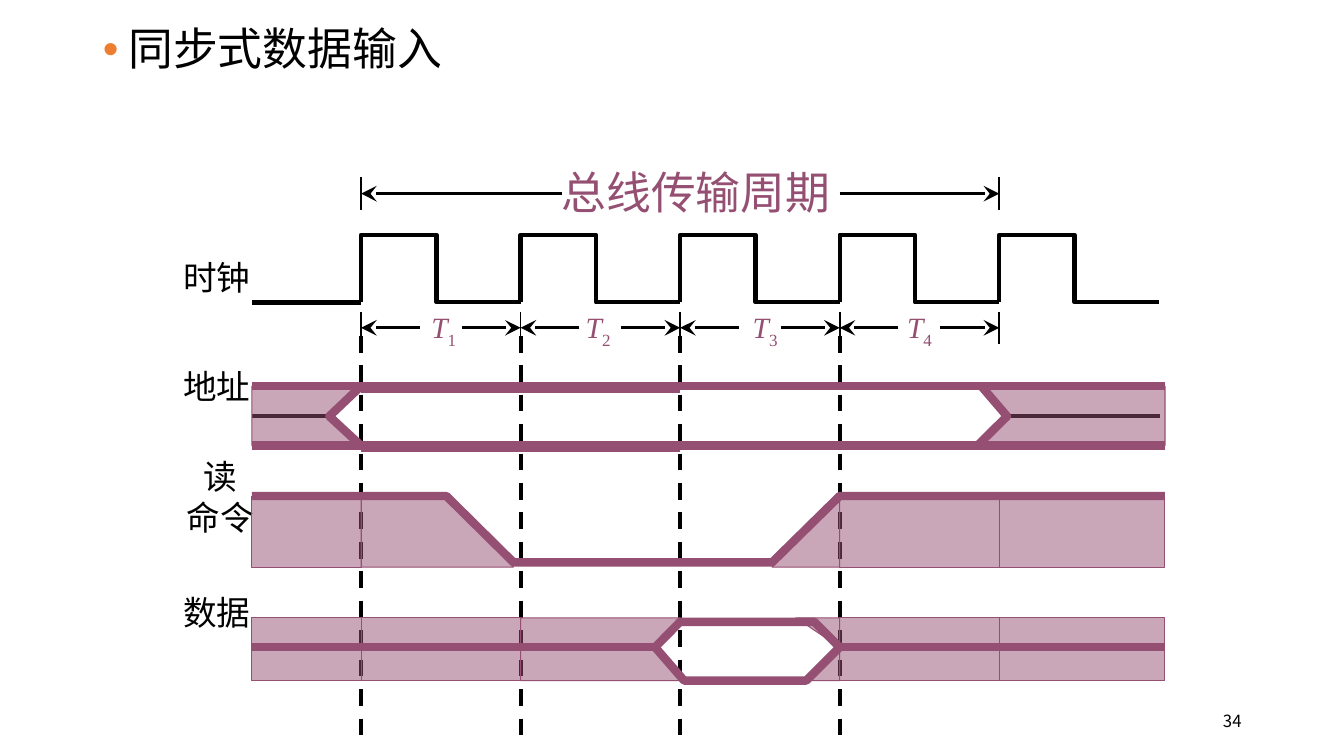
"""Build the timing diagram slide for synchronous data input."""
from lxml import etree
from pptx import Presentation
from pptx.dml.color import RGBColor
from pptx.enum import dml, shapes, text
from pptx.oxml import ns
from pptx.util import Cm, Pt

HUE = {"ink": "000000", "plum": "954F72", "dot": "ED7D31"}
SANS, SERIF = "Noto Sans CJK SC", "Times New Roman"
THIN, ARROW, BOLD, THICK = 1.25, 2.25, 3, 6

LEFT, RIGHT, STEP = 6.35, 29.36, 4.02
TICKS = [round(9.1 + STEP * n, 2) for n in range(5)]
T1, T2, T3, T4, END = TICKS
SPAN_Y, CYCLE_Y = 4.88, 8.26
CLOCK_HI, CLOCK_LO = 5.92, 7.62
ADDR_HI, ADDR_MID, ADDR_LO = 9.73, 10.49, 11.23
READ_HI, READ_LO, READ_BASE = 12.5, 14.17, 14.29
DATA_TOP, DATA_HI, DATA_MID, DATA_LO = 15.57, 15.67, 16.31, 17.15

deck = Presentation()
deck.slide_width, deck.slide_height = Cm(33.87), Cm(19.05)
slide = deck.slides.add_slide(deck.slide_layouts[1])
items = slide.shapes


def wire(x1, y1, x2, y2, hue="ink", size=BOLD, tip=False, dash=False):
    """Draw a straight line, with a tip at its end if asked."""
    link = items.add_connector(shapes.MSO_CONNECTOR.STRAIGHT, Cm(x1), Cm(y1), Cm(x2), Cm(y2))
    link.line.color.rgb = RGBColor.from_string(HUE[hue])
    link.line.width = Pt(size)
    if dash:
        link.line.dash_style = dml.MSO_LINE.DASH
    props = link.element.spPr
    if tip:
        stroke = props.find(ns.qn("a:ln"))
        etree.SubElement(stroke, ns.qn("a:tailEnd"), type="stealth", w="lg", len="lg")
    etree.SubElement(props, ns.qn("a:effectLst"))


def trace(spots, hue="plum", size=THICK, shut=False):
    """Draw an unfilled outline through the spots and return it."""
    first, *rest = [(Cm(x), Cm(y)) for x, y in spots]
    pen = items.build_freeform(*first)
    pen.add_line_segments(rest, close=shut)
    form = pen.convert_to_shape()
    form.shadow.inherit = False
    form.fill.background()
    form.line.color.rgb = RGBColor.from_string(HUE[hue])
    form.line.width = Pt(size)
    return form


title, body = slide.placeholders
title.element.getparent().remove(title.element)
body.left, body.top, body.width, body.height = Cm(2.34), Cm(0.56), Cm(29.21), Cm(16.86)
head = body.text_frame.paragraphs[0]
props = head._p.get_or_add_pPr()
props.set("marL", str(Cm(0.64)))
props.set("indent", str(Cm(-0.64)))
tint = etree.SubElement(props, ns.qn("a:buClr"))
etree.SubElement(tint, ns.qn("a:srgbClr"), val=HUE["dot"])
etree.SubElement(props, ns.qn("a:buFont"), typeface="Arial")
etree.SubElement(props, ns.qn("a:buChar"), char="•")
head.line_spacing, head.space_before = 0.9, Pt(0)

MID, START, STOP = text.PP_ALIGN.CENTER, text.PP_ALIGN.LEFT, text.PP_ALIGN.RIGHT
name = (24, SERIF, "ink")
notes = [
    (4.16, 6.48, 2.6, MID, ["时钟"], name),
    (4.16, 9.22, 2.6, MID, ["地址"], name),
    (4.25, 11.5, 2.6, MID, ["读", "命令"], name),
    (4.16, 14.91, 2.6, MID, ["数据"], name),
    (14.15, 4.15, 6.9, START, ["总线传输周期"], (32, SANS, "plum")),
    (23.93, 17.91, 7.36, STOP, ["34"], (12, SANS, "ink")),
]
for n, x in enumerate((10.87, 14.76, 18.97, 22.86), 1):
    notes.append((x, 7.8, 0.9, START, [("T", str(n))], (21, SERIF, "plum")))

lines = [(head, ["同步式数据输入"], (32, SANS, "ink"))]
for x, y, wide, align, rows, look in notes:
    high = len(rows) * look[0] * 0.05
    frame = items.add_textbox(Cm(x), Cm(y), Cm(wide), Cm(high)).text_frame
    frame.word_wrap = True
    frame.margin_left = frame.margin_right = frame.margin_top = frame.margin_bottom = 0
    for n, row in enumerate(rows):
        para = frame.add_paragraph() if n else frame.paragraphs[0]
        para.alignment = align
        lines.append((para, [row] if isinstance(row, str) else row, look))

for para, parts, (size, face, hue) in lines:
    for n, part in enumerate(parts):
        run = para.add_run()
        run.text = part
        font = run.font
        font.size, font.name = Pt(size), face
        font.color.rgb = RGBColor.from_string(HUE[hue])
        etree.SubElement(font._element, ns.qn("a:ea"), typeface=SANS)
        if n:
            font._element.set("baseline", "-25000")
        elif len(parts) > 1:
            font.italic = True

for x, inner in ((T1, 14.17), (END, 21.16)):
    wire(x, SPAN_Y - 0.42, x, SPAN_Y + 0.4, size=THIN)
    wire(inner, SPAN_Y, x, SPAN_Y, size=ARROW, tip=True)
for x in TICKS:
    wire(x, CYCLE_Y - 0.4, x, CYCLE_Y + 0.4, size=THIN)

wire(LEFT, CLOCK_LO, T1, CLOCK_LO)
for x in TICKS:
    fall = x + 1.9
    pulse = [(x, CLOCK_LO), (x, CLOCK_HI), (fall, CLOCK_HI), (fall, CLOCK_LO), (x + STEP, CLOCK_LO)]
    trace(pulse, "ink", BOLD)
for x in TICKS[:-1]:
    wire(x + 1.48, CYCLE_Y, x, CYCLE_Y, size=ARROW, tip=True)
    wire(x + 2.54, CYCLE_Y, x + STEP, CYCLE_Y, size=ARROW, tip=True)
    wire(x, 8.46, x, 18.8, dash=True)

opens = [(T1, ADDR_HI), (T1 - 0.8, ADDR_MID), (T1, ADDR_LO)]
shuts = [(END - 0.45, ADDR_HI), (END + 0.2, ADDR_MID), (END - 0.55, ADDR_LO)]
drop, sunk, rise = T1 + 2.15, T2 - 0.18, T4 - 1.7
enter = T3 - 0.63
valid = [(enter, DATA_MID), (T3, DATA_HI), (T4 - 0.64, DATA_HI),
         (T4, DATA_MID), (T4 - 0.84, DATA_LO), (T3 + 0.1, DATA_LO)]

wire(LEFT, ADDR_MID, opens[1][0], ADDR_MID)
wire(shuts[1][0], ADDR_MID, RIGHT - 0.12, ADDR_MID)

areas = [
    [(LEFT, ADDR_HI), *opens, (LEFT, ADDR_LO)],
    [(RIGHT, ADDR_HI), *shuts, (RIGHT, ADDR_LO)],
    [(T1, READ_HI), (drop, READ_HI), (sunk, READ_BASE), (T1, READ_BASE)],
    [(rise, READ_BASE), (T4, READ_HI), (T4, READ_BASE)],
    [(T2, DATA_TOP), (T3, DATA_TOP), valid[0], (T3, DATA_LO), (T2, DATA_LO)],
    [(T4, DATA_TOP), (T4 - 1.1, DATA_TOP), valid[3], valid[4], (T4, DATA_LO)],
]
zones = [trace(spots, shut=True) for spots in areas]
sides = [(LEFT, T1), (T4, END), (END, RIGHT)]
for top, base, cells in (
    (READ_HI, READ_BASE, sides),
    (DATA_TOP, DATA_LO, sides + [(T1, T2)]),
):
    for x1, x2 in cells:
        box = (Cm(x1), Cm(top), Cm(x2 - x1), Cm(base - top))
        zones.append(items.add_shape(shapes.MSO_SHAPE.RECTANGLE, *box))
for zone in zones:
    zone.shadow.inherit = False
    zone.fill.solid()
    zone.fill.fore_color.rgb = RGBColor.from_string(HUE["plum"])
    shade = zone.element.spPr.find(ns.qn("a:solidFill"))[0]
    etree.SubElement(shade, ns.qn("a:alpha"), val="50000")
    zone.line.color.rgb = RGBColor.from_string(HUE["plum"])
    zone.line.width = Pt(0.75)

for y in (ADDR_HI, ADDR_LO):
    wire(LEFT, y, RIGHT, y, "plum", THICK)
    wire(T1, y + 0.06, T3, y + 0.06, "plum", THICK)
trace(opens)
trace(shuts)
trace([(LEFT, READ_HI), (drop, READ_HI), (sunk, READ_LO),
       (rise, READ_LO), (T4, READ_HI), (RIGHT, READ_HI)])
wire(LEFT, DATA_MID, enter, DATA_MID, "plum", THICK)
trace(valid, shut=True)
wire(T4, DATA_MID, RIGHT, DATA_MID, "plum", THICK)

deck.save("out.pptx")
